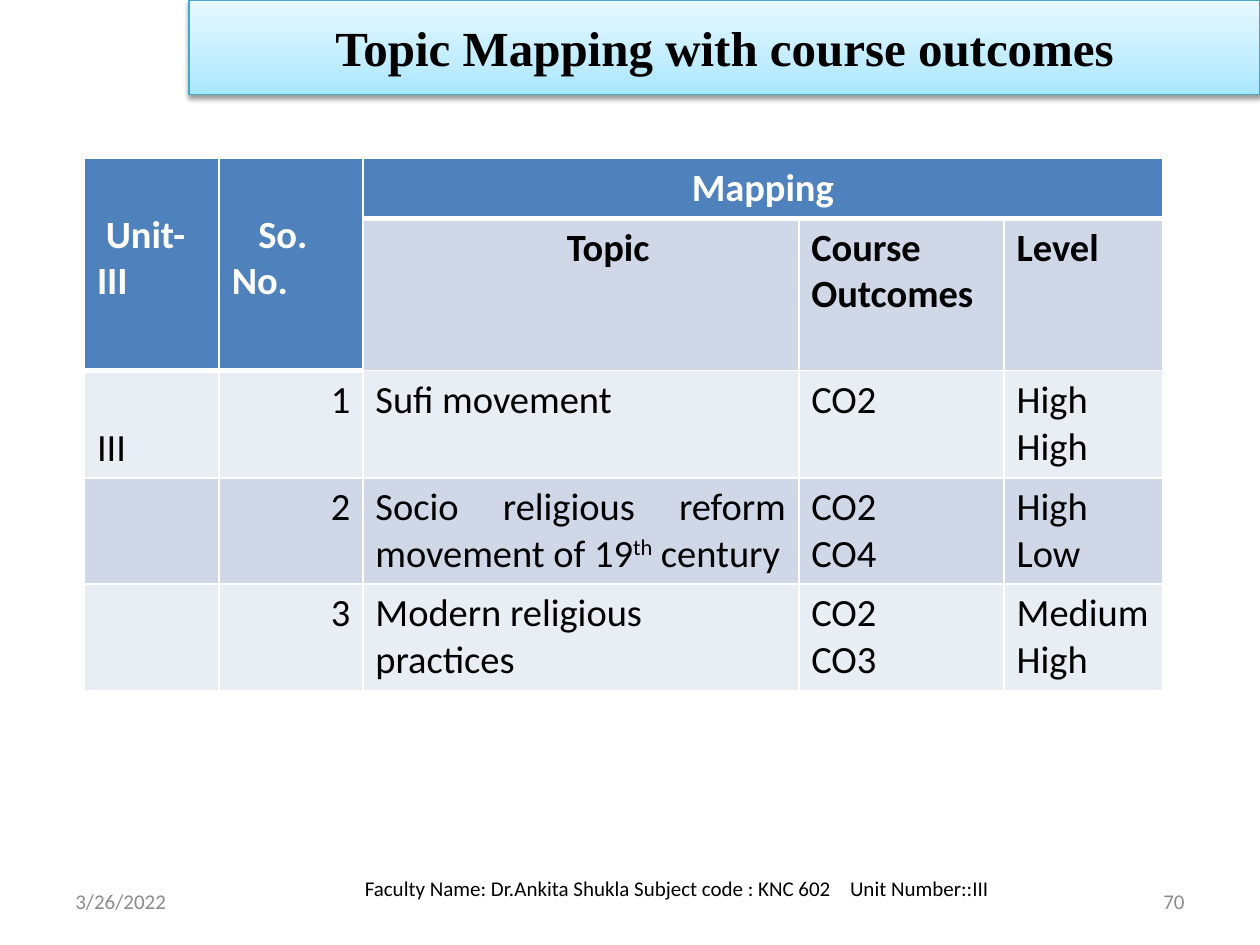
from lxml.etree import SubElement
from pptx import Presentation
from pptx.dml.color import RGBColor
from pptx.enum.text import MSO_ANCHOR, PP_ALIGN
from pptx.oxml import parse_xml
from pptx.oxml.ns import nsdecls, qn
from pptx.util import Inches, Pt

COLORS = {
    "head": "4F81BD", "band": "D0D8E8", "pale": "E9EDF4", "white": "FFFFFF",
    "black": "000000", "grey": "8C8C8C", "edge": "46AAC5",
    "low": "A7E6FF", "mid": "C1EDFF", "high": "E7F8FF",
}
L, C, R, J = PP_ALIGN.LEFT, PP_ALIGN.CENTER, PP_ALIGN.RIGHT, PP_ALIGN.JUSTIFY
COLS = [1.07, 1.14, 3.46, 1.63, 1.26]
ROWS = [0.46, 1.21, 0.85, 0.84, 0.84]
CELLS = [
    ["Unit-III", "So. No.", "Mapping", "", ""],
    ["", "", "Topic", "Course Outcomes", "Level"],
    ["III", "1", "Sufi movement", "CO2", "High\nHigh"],
    ["", "2", "Socio religious reform movement of 19^th^ century", "CO2\nCO4", "High\nLow"],
    ["", "3", "Modern religious practices", "CO2\nCO3", "Medium\nHigh"],
]
ALIGNS = {(0, 2): C, (4, 2): L} | {(r, 1): R for r in (2, 3, 4)}
INDENTS = {(0, 0): (0, 0.07), (0, 1): (0, 0.21), (1, 2): (1.52, 0)}


def rgb(key):
    """Return the named colour."""
    return RGBColor.from_string(COLORS[key])


def add_run(p, text, size, color, font="Calibri", bold=False):
    """Add one formatted run to a paragraph."""
    r = p.add_run()
    r.text = text
    r.font.size, r.font.name, r.font.bold = Pt(size), font, bold
    r.font.color.rgb = rgb(color)
    return r


def add_title(s, box, text):
    """Turn the title placeholder into the shaded banner."""
    sp = s.shapes.title
    sp.left, sp.top, sp.width, sp.height = box
    sp.line.color.rgb = rgb("edge")
    sp.line.width = Pt(0.75)
    stops = "".join(
        f'<a:gs pos="{pos}"><a:srgbClr val="{COLORS[key]}"/></a:gs>'
        for pos, key in ((0, "low"), (35000, "mid"), (100000, "high")))
    ln = sp.line._get_or_add_ln()
    ln.addprevious(parse_xml(
        f'<a:gradFill {nsdecls("a")} rotWithShape="1"><a:gsLst>{stops}</a:gsLst>'
        '<a:lin ang="16200000" scaled="0"/></a:gradFill>'))
    ln.addnext(parse_xml(
        f'<a:effectLst {nsdecls("a")}><a:outerShdw blurRad="{Pt(3.1)}" dist="{Pt(1.6)}" '
        f'dir="5400000" rotWithShape="0"><a:srgbClr val="{COLORS["black"]}">'
        '<a:alpha val="38000"/></a:srgbClr></a:outerShdw></a:effectLst>'))
    tf = sp.text_frame
    tf.vertical_anchor = MSO_ANCHOR.MIDDLE
    p = tf.paragraphs[0]
    p.alignment = C
    add_run(p, text, 28, "black", "Times New Roman", True)


def is_head(row, col):
    """Tell whether a cell belongs to the dark heading."""
    return row == 0 or (row == 1 and col < 2)


def set_borders(cell, row, col):
    """Draw white borders, heavier below the heading."""
    tcPr = cell._tc.get_or_add_tcPr()
    widths = {"L": 1, "R": 1, "T": 3 if row and is_head(row - 1, col) else 1,
              "B": 3 if is_head(row, col) else 1}
    for i, (side, width) in enumerate(widths.items()):
        tcPr.insert(i, parse_xml(
            f'<a:ln{side} {nsdecls("a")} w="{Pt(width)}"><a:solidFill>'
            f'<a:srgbClr val="{COLORS["white"]}"/></a:solidFill></a:ln{side}>'))


def fill_cell(cell, row, col):
    """Write and format one table cell."""
    head = is_head(row, col)
    cell.fill.solid()
    cell.fill.fore_color.rgb = rgb("head" if head else "band" if row % 2 else "pale")
    set_borders(cell, row, col)
    if not CELLS[row][col]:
        return
    tf = cell.text_frame
    for i, line in enumerate(CELLS[row][col].split("\n")):
        p = tf.add_paragraph() if i else tf.paragraphs[0]
        p.alignment = ALIGNS.get((row, col), J if row > 1 else L)
        if (row, col) in INDENTS:
            left, first = INDENTS[row, col]
            pPr = p._p.get_or_add_pPr()
            pPr.set("marL", str(Inches(left)))
            pPr.set("indent", str(Inches(first)))
        for k, part in enumerate(line.split("^")):
            r = add_run(p, part, 22, "white" if head else "black", bold=row < 2)
            if k % 2:
                r.font._element.set("baseline", "30000")


def add_mapping(s, left, top):
    """Add the mapping table with its merged heading."""
    frame = s.shapes.add_table(len(ROWS), len(COLS), left, top,
                               Inches(sum(COLS)), Inches(sum(ROWS)))
    tbl = frame.table
    tbl.first_row = tbl.horz_banding = False
    for col, width in zip(tbl.columns, COLS):
        col.width = Inches(width)
    for row, height in zip(tbl.rows, ROWS):
        row.height = Inches(height)
    for row in range(len(ROWS)):
        for col in range(len(COLS)):
            fill_cell(tbl.cell(row, col), row, col)
    for col in (0, 1):
        cell = tbl.cell(0, col)
        cell.merge(tbl.cell(1, col))
        cell.vertical_anchor = MSO_ANCHOR.MIDDLE
        cell.margin_bottom = Inches(0.15)
    tbl.cell(0, 2).merge(tbl.cell(0, 4))
    tbl.cell(2, 0).vertical_anchor = MSO_ANCHOR.BOTTOM


def add_footer(s, box, parts, color, align):
    """Add one footer text, its parts set apart by a wide space."""
    tf = s.shapes.add_textbox(*box).text_frame
    tf.word_wrap = True
    tf.vertical_anchor = MSO_ANCHOR.MIDDLE
    p = tf.paragraphs[0]
    p.alignment = align
    for i, part in enumerate(parts):
        if i:
            add_run(p, " ", 12, color).font._element.set("spc", "800")
        add_run(p, part, 12, color)


def main():
    """Build the slide and save it."""
    prs = Presentation()
    prs.slide_width, prs.slide_height = Inches(10), Inches(7.5)
    W, H = prs.slide_width, prs.slide_height

    def box(x, y, w, h):
        """Turn shares of the slide into lengths."""
        return int(W * x), int(H * y), int(W * w), int(H * h)

    s = prs.slides.add_slide(prs.slide_layouts[5])
    add_mapping(s, Inches(0.67), Inches(1.26))
    low, height = 6.95 / 7.5, 0.4 / 7.5
    add_footer(s, box(0.05, low, 0.23, height), ["3/26/2022"], "grey", L)
    add_footer(s, box(0.183, 0.9, 0.708, 0.08),
               ["Faculty Name: Dr.Ankita Shukla Subject code : KNC 602",
                "Unit Number::III"], "black", C)
    add_footer(s, box(0.717, low, 0.233, height), ["70"], "grey", R)
    add_title(s, box(0.15, 0, 0.85, 0.1), "Topic Mapping with course outcomes")
    prs.save("out.pptx")


if __name__ == "__main__":
    main()
